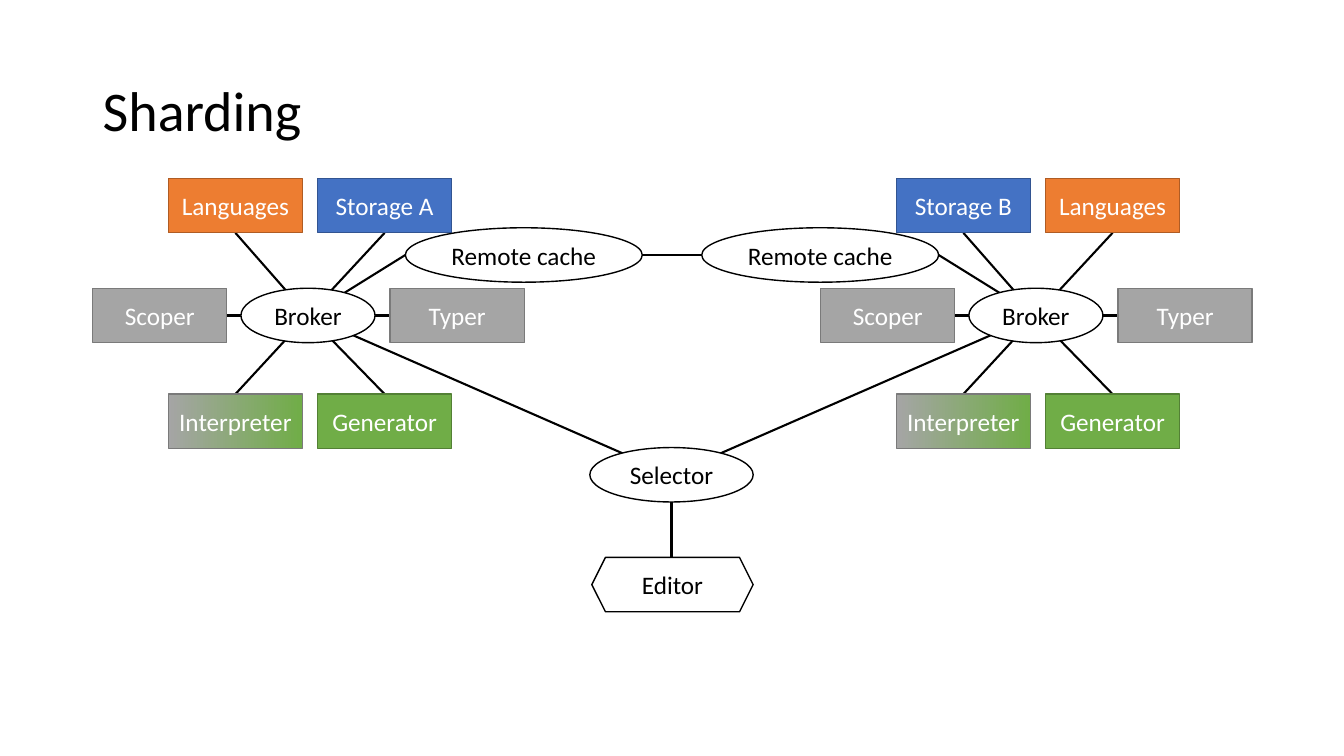
import pptx
import pptx.util
import pptx.dml.color
import pptx.enum.shapes
import pptx.enum.text
import pptx.oxml.ns
import lxml.etree

Inches = pptx.util.Inches
Pt = pptx.util.Pt
SHAPES = pptx.enum.shapes.MSO_SHAPE
TOP, LEFT, BOTTOM, RIGHT = range(4)

BLACK, WHITE = "000000", "FFFFFF"
ORANGE = (["ED7D31"], "AF5C24")
BLUE = (["4472C4"], "325491")
GRAY = (["A5A5A5"], "7A7A7A")
GREEN = (["70AD47"], "538035")
GRAY_TO_GREEN = (["A5A5A5", "70AD47"], "7A7A7A")
OUTLINED = ([WHITE], BLACK)

NODE_WIDTH, NODE_HEIGHT = 1.33, 0.54
COLUMN_INNER = (0.75, 2.23)
COLUMN_OUTER = (0, 2.95)
BROKER_LEFT = 1.47
ROW_TOPS = (1.77, 2.86, 3.91)
CACHE_TOP, CACHE_WIDTH = 2.26, 2.35

CLUSTERS = [
    {"left": 0.92, "top_row": [("Languages", ORANGE), ("Storage A", BLUE)],
     "cache_left": 4.02, "cache_side": 0},
    {"left": 8.14, "top_row": [("Storage B", BLUE), ("Languages", ORANGE)],
     "cache_left": 6.96, "cache_side": CACHE_WIDTH},
]
MIDDLE_ROW = [("Scoper", GRAY), ("Typer", GRAY)]
BOTTOM_ROW = [("Interpreter", GRAY_TO_GREEN), ("Generator", GREEN)]
SELECTOR = ("Selector", 5.85, 4.44, 1.62)
EDITOR = ("Editor", 5.87, 5.53, 1.6)

presentation = pptx.Presentation()
presentation.slide_width, presentation.slide_height = Inches(13.33), Inches(7.5)
slide = presentation.slides.add_slide(presentation.slide_layouts[6])


def color(value):
    return pptx.dml.color.RGBColor.from_string(value)


def add_line(start, end):
    line = slide.shapes.add_connector(
        pptx.enum.shapes.MSO_CONNECTOR.STRAIGHT, *map(Inches, start + end))
    line.line.color.rgb = color(BLACK)
    line.line.width = Pt(1.5)
    properties = line._element.spPr
    lxml.etree.SubElement(properties, pptx.oxml.ns.qn("a:effectLst"))
    return line


def write(shape, text, size, text_color):
    frame = shape.text_frame
    frame.word_wrap = True
    frame.vertical_anchor = pptx.enum.text.MSO_ANCHOR.MIDDLE
    paragraph = frame.paragraphs[0]
    paragraph.text = text
    paragraph.font.name = "Calibri"
    paragraph.font.size = Pt(size)
    paragraph.font.color.rgb = color(text_color)
    return paragraph


def add_node(kind, text, left, top, width=NODE_WIDTH, style=OUTLINED):
    fills, border = style
    shape = slide.shapes.add_shape(
        kind, Inches(left), Inches(top), Inches(width), Inches(NODE_HEIGHT))
    shape.shadow.inherit = False
    if len(fills) == 1:
        shape.fill.solid()
        shape.fill.fore_color.rgb = color(fills[0])
    else:
        shape.fill.gradient()
        shape.fill.gradient_angle = 0
        for position, (stop, value) in enumerate(zip(shape.fill.gradient_stops, fills)):
            stop.position = position
            stop.color.rgb = color(value)
    shape.line.color.rgb = color(border)
    shape.line.width = Pt(1)
    paragraph = write(shape, text, 18, BLACK if style is OUTLINED else WHITE)
    paragraph.alignment = pptx.enum.text.PP_ALIGN.CENTER
    return shape


def center(left, top, width=NODE_WIDTH):
    return left + width / 2, top + NODE_HEIGHT / 2


def broker_center(cluster):
    return center(cluster["left"] + BROKER_LEFT, ROW_TOPS[1])


def add_cluster(cluster):
    rows = [
        (cluster["top_row"], COLUMN_INNER, (BOTTOM, BOTTOM)),
        (MIDDLE_ROW, COLUMN_OUTER, (RIGHT, LEFT)),
        (BOTTOM_ROW, COLUMN_INNER, (TOP, TOP)),
    ]
    for top, (nodes, columns, sides) in zip(ROW_TOPS, rows):
        for (text, style), column, side in zip(nodes, columns, sides):
            left = cluster["left"] + column
            line = add_line(center(left, top), broker_center(cluster))
            box = add_node(SHAPES.RECTANGLE, text, left, top, style=style)
            line.begin_connect(box, side)
    add_node(SHAPES.OVAL, "Broker", cluster["left"] + BROKER_LEFT, ROW_TOPS[1])


title = slide.shapes.add_textbox(Inches(0.92), Inches(0.4), Inches(11.5), Inches(1.45))
write(title, "Sharding", 40, BLACK).line_spacing = 0.9

cache_middle = CACHE_TOP + NODE_HEIGHT / 2
selector_center = center(*SELECTOR[1:])
for cluster in CLUSTERS:
    cache_edge = cluster["cache_left"] + cluster["cache_side"]
    add_line(broker_center(cluster), (cache_edge, cache_middle))
    add_line(broker_center(cluster), selector_center)
add_line(selector_center, (selector_center[0], EDITOR[2]))
left_cache, right_cache = (cluster["cache_left"] for cluster in CLUSTERS)
add_line((left_cache + CACHE_WIDTH, cache_middle), (right_cache, cache_middle))

for cluster in CLUSTERS:
    add_cluster(cluster)
add_node(SHAPES.OVAL, *SELECTOR)
add_node(SHAPES.HEXAGON, *EDITOR)
for cluster in CLUSTERS:
    add_node(SHAPES.OVAL, "Remote cache", cluster["cache_left"], CACHE_TOP, CACHE_WIDTH)

presentation.save("out.pptx")
